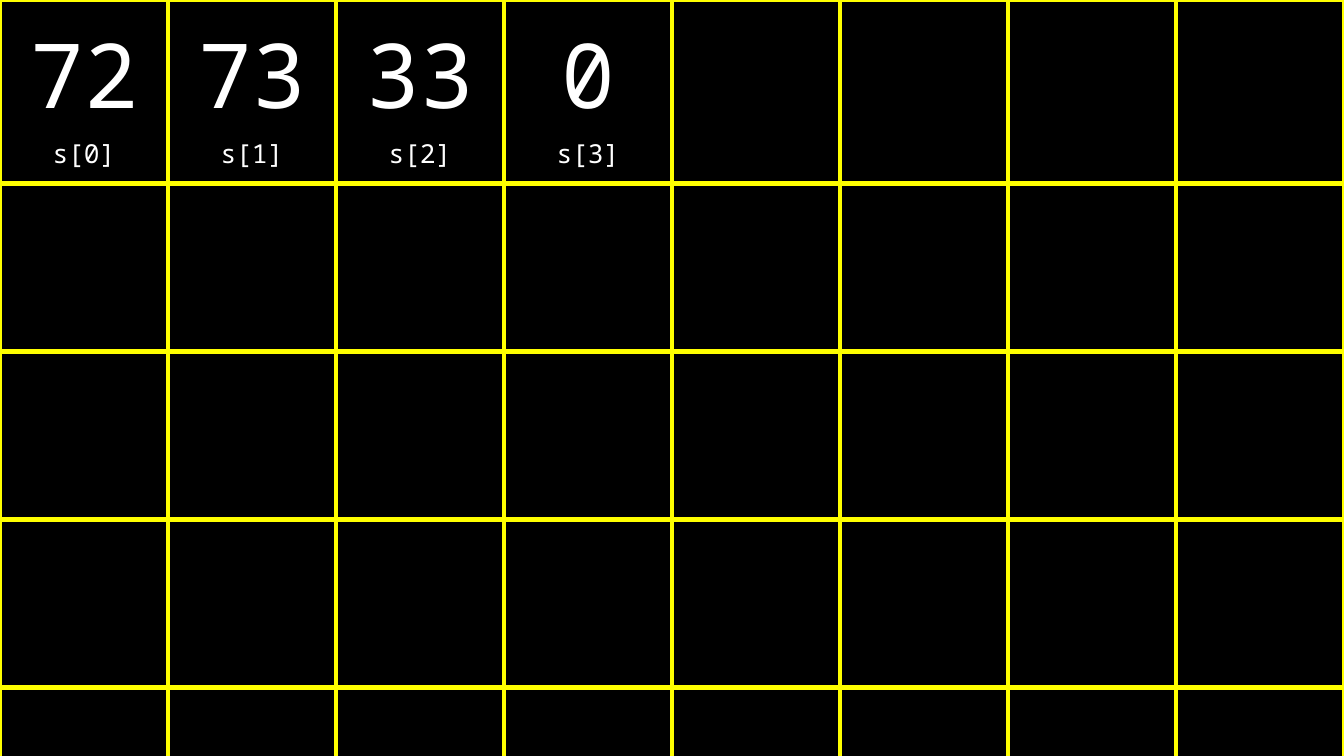
from lxml import etree
from pptx import Presentation
from pptx import util as u
from pptx.dml.color import RGBColor
from pptx.enum import text
from pptx.oxml import ns

# Content: bytes of the string s, ending in its null terminator
STRING_BYTES = [72, 73, 33, 0]

# Memory grid, in px
COLUMNS, ROWS = 8, 5
CELL = 168
INSET = 13
SLIDE_WIDTH, SLIDE_HEIGHT = 1344, 756

THEME = {
    "background": "000000",
    "text": "FFFFFF",
    "grid": "FFFF00",
    "font": "Noto Sans Mono",
    "value_size": 48,
    "label_size": 14,
    "border_width": 3,
}


def px(length):
    return u.Emu(round(length * 914400 / 134.4))


def add_borders(cell):
    properties = cell._tc.get_or_add_tcPr()
    for side in ("lnL", "lnR", "lnT", "lnB"):
        line = etree.SubElement(properties, ns.qn(f"a:{side}"),
                                w=str(u.Pt(THEME["border_width"])))
        fill = etree.SubElement(line, ns.qn("a:solidFill"))
        etree.SubElement(fill, ns.qn("a:srgbClr"), val=THEME["grid"])


def write_line(para, words, size):
    para.text = words
    para.alignment = text.PP_ALIGN.CENTER
    para.font.name = THEME["font"]
    para.font.size = u.Pt(size)
    para.font.color.rgb = RGBColor.from_string(THEME["text"])


def main():
    deck = Presentation()
    deck.slide_width, deck.slide_height = px(SLIDE_WIDTH), px(SLIDE_HEIGHT)
    slide = deck.slides.add_slide(deck.slide_layouts[6])
    backdrop = slide.background.fill
    backdrop.solid()
    backdrop.fore_color.rgb = RGBColor.from_string(THEME["background"])

    # Empty memory grid, running past the bottom edge
    table = slide.shapes.add_table(ROWS, COLUMNS, 0, 0, px(COLUMNS * CELL),
                                   px(ROWS * CELL)).table
    table.first_row = table.horz_banding = False
    for cell in table.iter_cells():
        add_borders(cell)
        cell.fill.background()
        cell.margin_left = cell.margin_right = px(INSET)
        cell.margin_top = cell.margin_bottom = px(INSET)

    # Byte values with their array labels
    for index, value in enumerate(STRING_BYTES):
        cell = table.cell(0, index)
        cell.vertical_anchor = text.MSO_ANCHOR.BOTTOM
        frame = cell.text_frame
        write_line(frame.paragraphs[0], str(value), THEME["value_size"])
        write_line(frame.add_paragraph(), f"s[{index}]", THEME["label_size"])

    deck.save("out.pptx")


if __name__ == "__main__":
    main()
